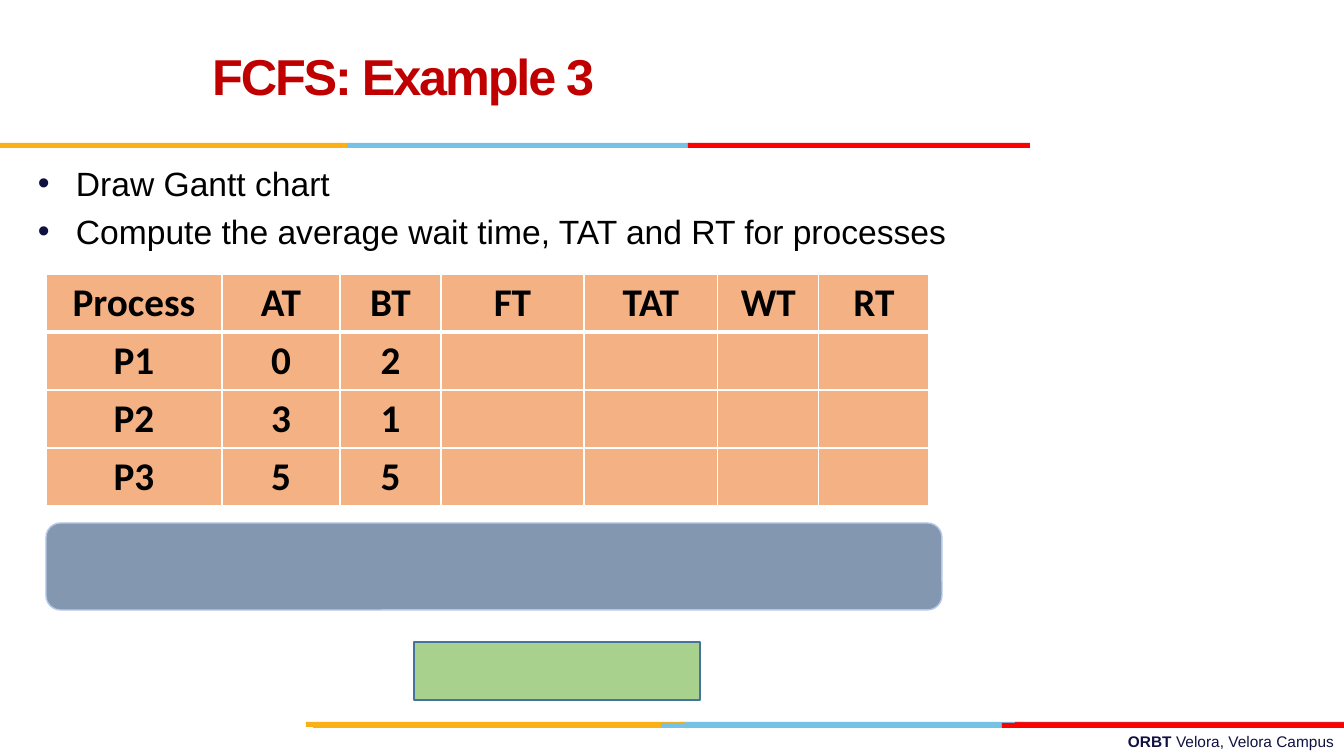
"""Build the FCFS scheduling example slide."""
from typing import NamedTuple, Optional

import pptx
import pptx.dml.color
import pptx.enum.shapes
import pptx.enum.text
import pptx.oxml
import pptx.oxml.ns
import pptx.util

RGBColor = pptx.dml.color.RGBColor
MSO_SHAPE = pptx.enum.shapes.MSO_SHAPE
PP_ALIGN = pptx.enum.text.PP_ALIGN
MSO_ANCHOR = pptx.enum.text.MSO_ANCHOR

SCALE = 914400 / 100.8
NAVY = RGBColor(0x10, 0x11, 0x41)
BLACK = RGBColor(0, 0, 0)
WHITE = RGBColor(0xFF, 0xFF, 0xFF)
CRIMSON = RGBColor(0xC0, 0, 0)
GOLD = RGBColor(0xFC, 0xB0, 0x17)
SKY = RGBColor(0x76, 0xC2, 0xE5)
RED = RGBColor(0xFF, 0, 0)
DARK_RED = RGBColor(0xE3, 0x1C, 0x24)
PEACH = RGBColor(0xF4, 0xB1, 0x83)
SLATE = RGBColor(0x84, 0x97, 0xB0)
PALE_BLUE = RGBColor(0xB4, 0xC7, 0xE7)
GREEN = RGBColor(0xA9, 0xD1, 0x8E)
STEEL = RGBColor(0x43, 0x73, 0x9E)


class Box(NamedTuple):
    """A filled preset shape, measured in pixels."""
    x: int
    y: int
    w: int
    h: int
    fill: RGBColor
    line: Optional[RGBColor] = None
    kind: MSO_SHAPE = MSO_SHAPE.RECTANGLE


STRIPE_H = 5
STRIPES = [
    Box(680, 722, 343, STRIPE_H, SKY),
    Box(1015, 722, 329, STRIPE_H, DARK_RED),
    Box(306, 722, 379, STRIPE_H, GOLD),
    Box(661, 723, 343, STRIPE_H, SKY),
    Box(313, 723, 348, STRIPE_H, GOLD),
    Box(1002, 723, 342, STRIPE_H, RED),
    Box(347, 143, 343, STRIPE_H, SKY),
    Box(0, 143, 347, STRIPE_H, GOLD),
    Box(688, 143, 342, STRIPE_H, RED),
]
PANELS = [
    Box(46, 523, 896, 87, SLATE, PALE_BLUE, MSO_SHAPE.ROUNDED_RECTANGLE),
    Box(414, 642, 286, 58, GREEN, STEEL),
]
TASKS = ["Draw Gantt chart",
         "Compute the average wait time, TAT and RT for processes"]
COLS = [176, 118, 101, 143, 134, 101, 110]
ROW_H = 58
ROWS = [
    ["Process", "AT", "BT", "FT", "TAT", "WT", "RT"],
    ["P1", "0", "2"],
    ["P2", "3", "1"],
    ["P3", "5", "5"],
]


def px(n: float) -> int:
    """Turn pixels into EMU."""
    return pptx.util.Emu(round(n * SCALE))


def add_box(shapes, box: Box):
    """Draw one filled shape."""
    sp = shapes.add_shape(box.kind, px(box.x), px(box.y), px(box.w), px(box.h))
    sp.shadow.inherit = False
    sp.fill.solid()
    sp.fill.fore_color.rgb = box.fill
    if box.line is None:
        sp.line.fill.background()
    else:
        sp.line.color.rgb = box.line
        sp.line.width = pptx.util.Pt(1)
    return sp


def add_run(p, text: str, *, size: float, color: RGBColor,
            font: str = "Arial", bold: bool = False):
    """Append formatted text to a paragraph."""
    r = p.add_run()
    r.text = text
    r.font.size = pptx.util.Pt(size)
    r.font.name = font
    r.font.bold = bold
    r.font.color.rgb = color
    return r


def add_text_frame(shapes, x: int, y: int, w: int, h: int):
    """Add a wrapping text box and return its frame."""
    tf = shapes.add_textbox(px(x), px(y), px(w), px(h)).text_frame
    tf.word_wrap = True
    return tf


def set_bullet(p, indent: int, color: RGBColor) -> None:
    """Give a paragraph a hanging round bullet."""
    pPr = p._p.get_or_add_pPr()
    pPr.set("marL", str(px(indent)))
    pPr.set("indent", str(-px(indent)))
    ns = pptx.oxml.ns.nsdecls("a")
    for xml in (f'<a:buClr {ns}><a:srgbClr val="{color}"/></a:buClr>',
                f'<a:buFont {ns} typeface="Arial"/>',
                f'<a:buChar {ns} char="•"/>'):
        pPr.append(pptx.oxml.parse_xml(xml))


def set_borders(cell, bottom: float, top: float) -> None:
    """Draw white borders around a table cell."""
    tcPr = cell._tc.get_or_add_tcPr()
    ns = pptx.oxml.ns.nsdecls("a")
    widths = {"lnL": 1, "lnR": 1, "lnT": top, "lnB": bottom}
    for i, (tag, width) in enumerate(widths.items()):
        tcPr.insert(i, pptx.oxml.parse_xml(
            f'<a:{tag} {ns} w="{pptx.util.Pt(width)}"><a:solidFill>'
            f'<a:srgbClr val="{WHITE}"/></a:solidFill></a:{tag}>'))


def add_process_table(shapes) -> None:
    """Add the process timing table."""
    table = shapes.add_table(len(ROWS), len(COLS), px(46), px(274),
                             px(sum(COLS)), px(ROW_H * len(ROWS))).table
    table.first_row = table.horz_banding = False
    for col, width in zip(table.columns, COLS):
        col.width = px(width)
    for i, values in enumerate(ROWS):
        table.rows[i].height = px(ROW_H)
        for j in range(len(COLS)):
            cell = table.cell(i, j)
            cell.fill.solid()
            cell.fill.fore_color.rgb = PEACH
            set_borders(cell, bottom=3 if i == 0 else 1, top=3 if i == 1 else 1)
            if j < len(values):
                p = cell.text_frame.paragraphs[0]
                p.alignment = PP_ALIGN.CENTER
                add_run(p, values[j], size=28, color=BLACK,
                        font="Calibri", bold=True)


def set_title(sp, text: str) -> None:
    """Place and format the title."""
    sp.left, sp.top, sp.width, sp.height = px(202), px(17), px(798), px(126)
    tf = sp.text_frame
    tf.auto_size = pptx.enum.text.MSO_AUTO_SIZE.NONE
    tf.vertical_anchor = MSO_ANCHOR.MIDDLE
    p = tf.paragraphs[0]
    p.alignment = PP_ALIGN.LEFT
    p.line_spacing = pptx.util.Pt(36)
    r = add_run(p, text, size=36, color=CRIMSON, bold=True)
    r.font._element.set("spc", "-150")


def main() -> None:
    """Assemble and save the slide."""
    prs = pptx.Presentation()
    prs.slide_width, prs.slide_height = px(1344), px(756)
    slide = prs.slides.add_slide(prs.slide_layouts[5])
    shapes = slide.shapes
    p = add_text_frame(shapes, 482, 727, 862, 29).paragraphs[0]
    p.alignment = PP_ALIGN.RIGHT
    add_run(p, "ORBT ", size=11, color=NAVY, bold=True)
    add_run(p, "Velora, Velora Campus", size=11, color=NAVY)
    for stripe in STRIPES:
        add_box(shapes, stripe)
    tf = add_text_frame(shapes, 28, 158, 1008, 119)
    for i, task in enumerate(TASKS):
        p = tf.add_paragraph() if i else tf.paragraphs[0]
        p.space_before = pptx.util.Pt(5.5)
        set_bullet(p, 38, NAVY)
        add_run(p, task, size=24, color=BLACK)
    set_title(shapes.title, "FCFS: Example 3")
    add_process_table(shapes)
    for panel in PANELS:
        add_box(shapes, panel)
    prs.save("out.pptx")


main()
